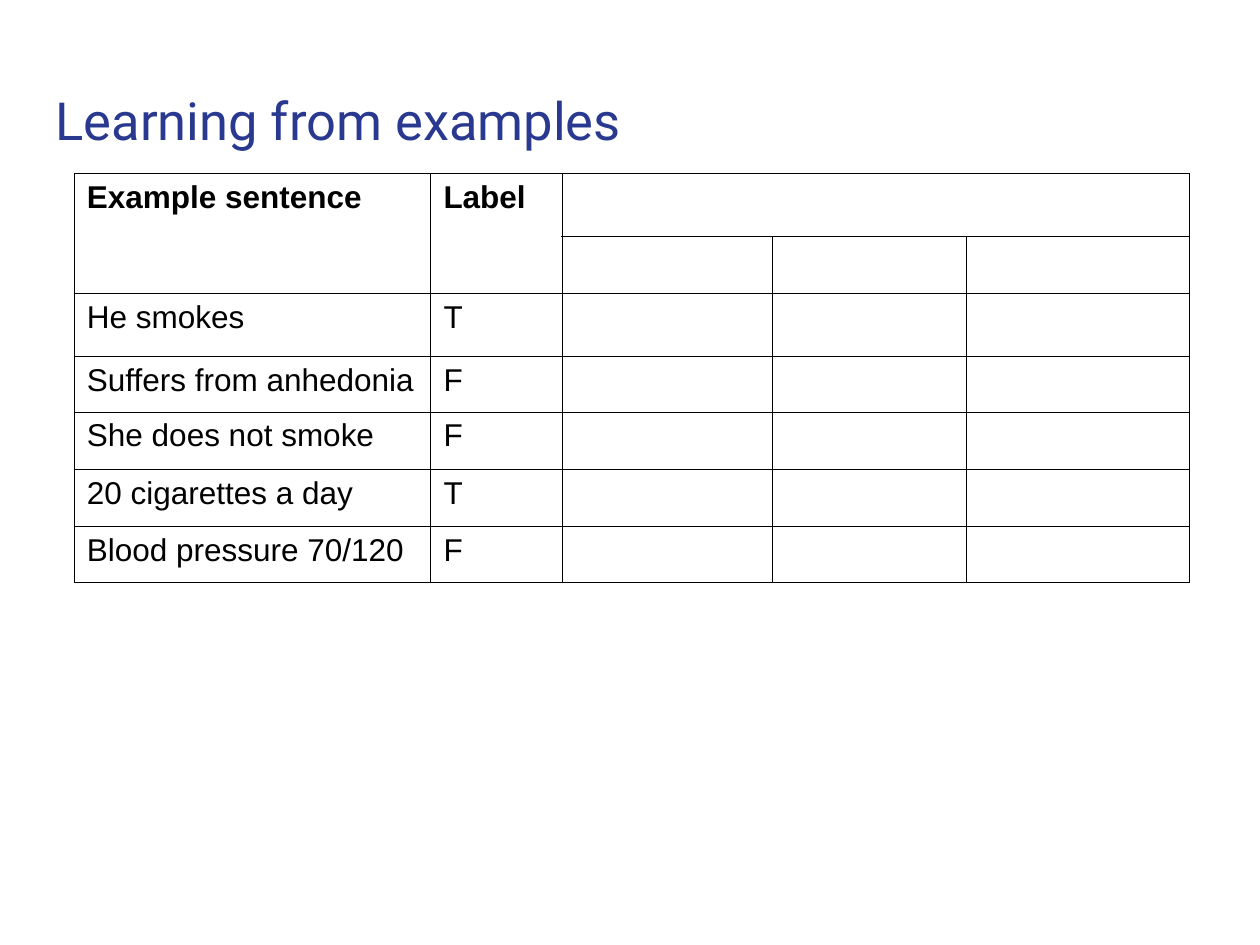
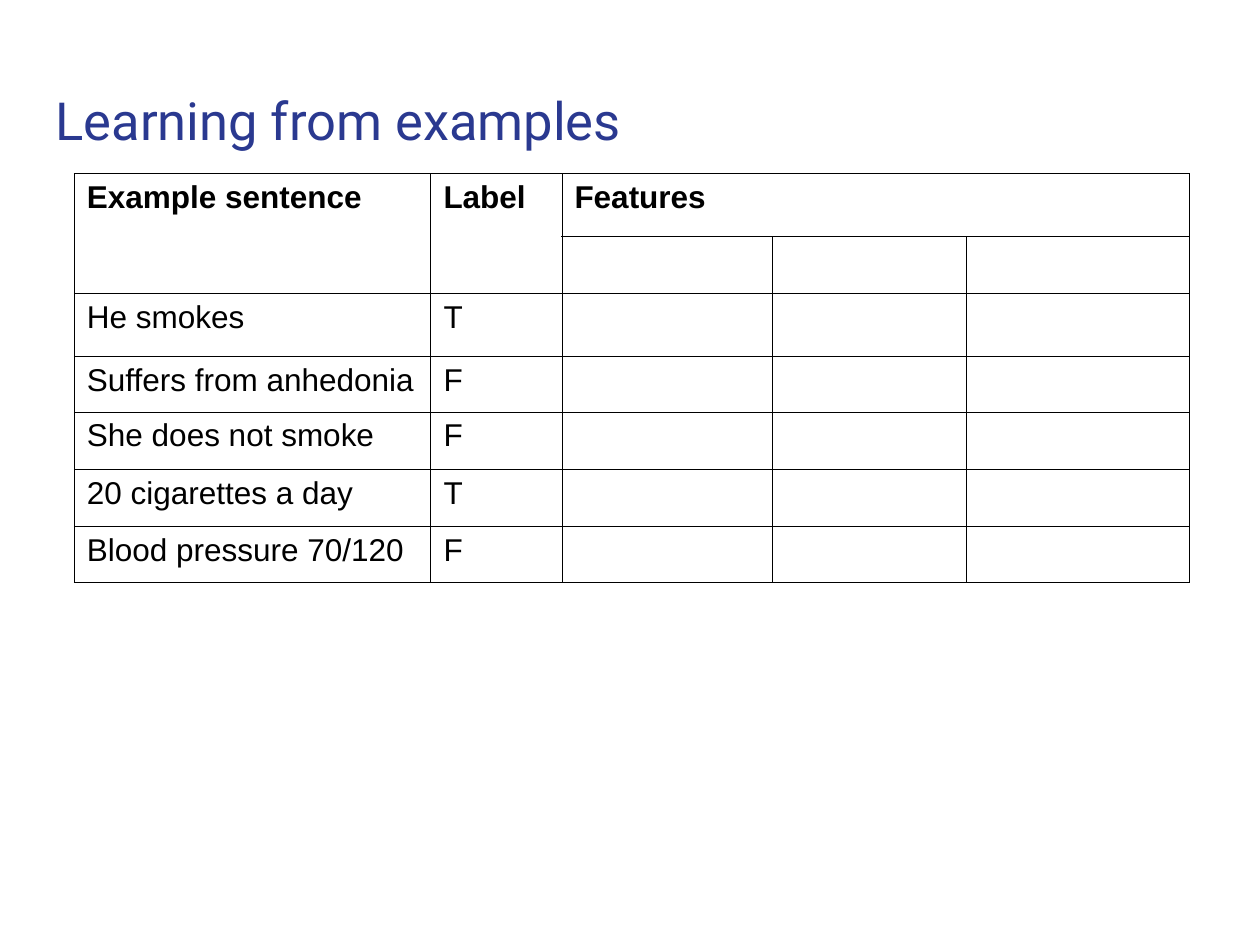
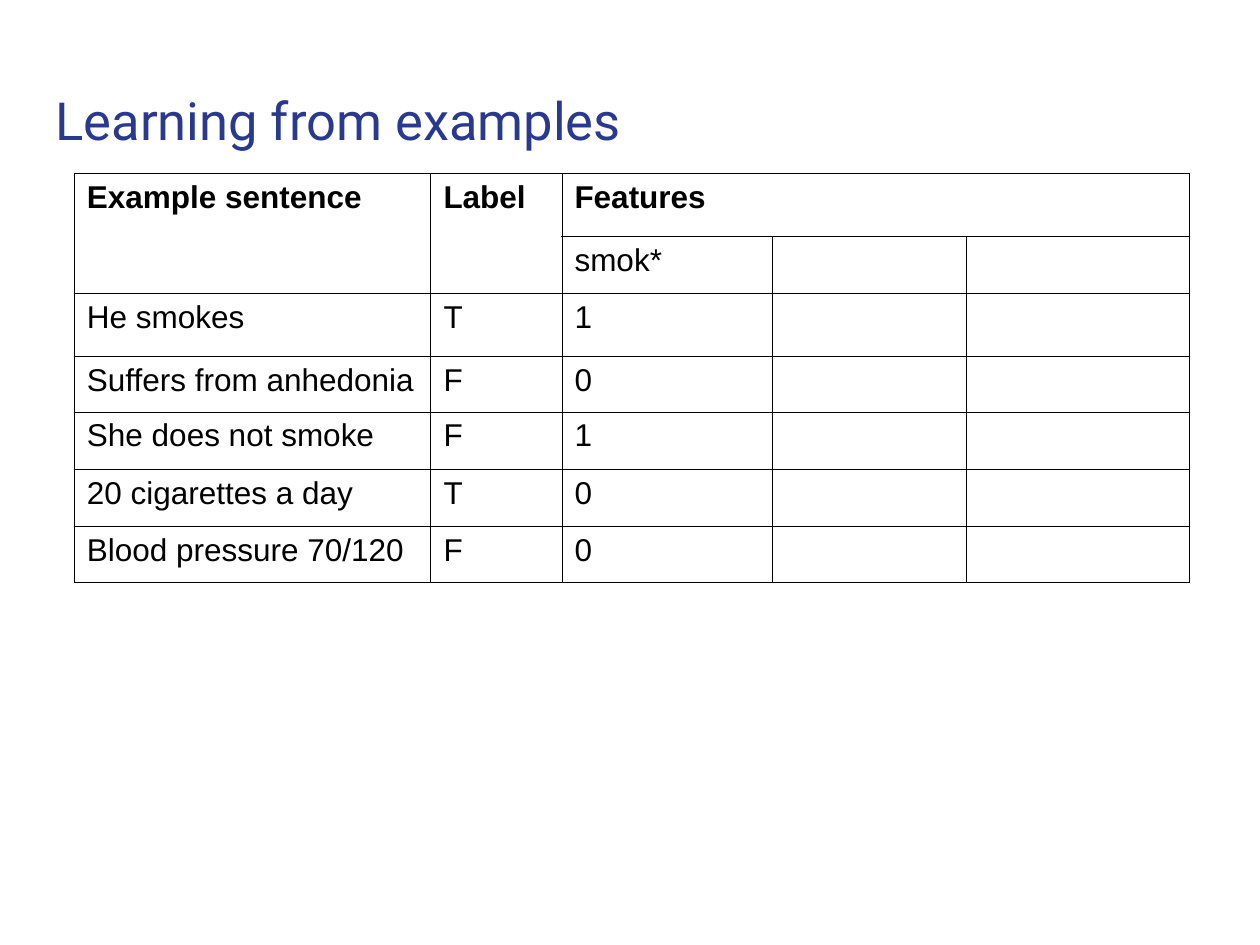
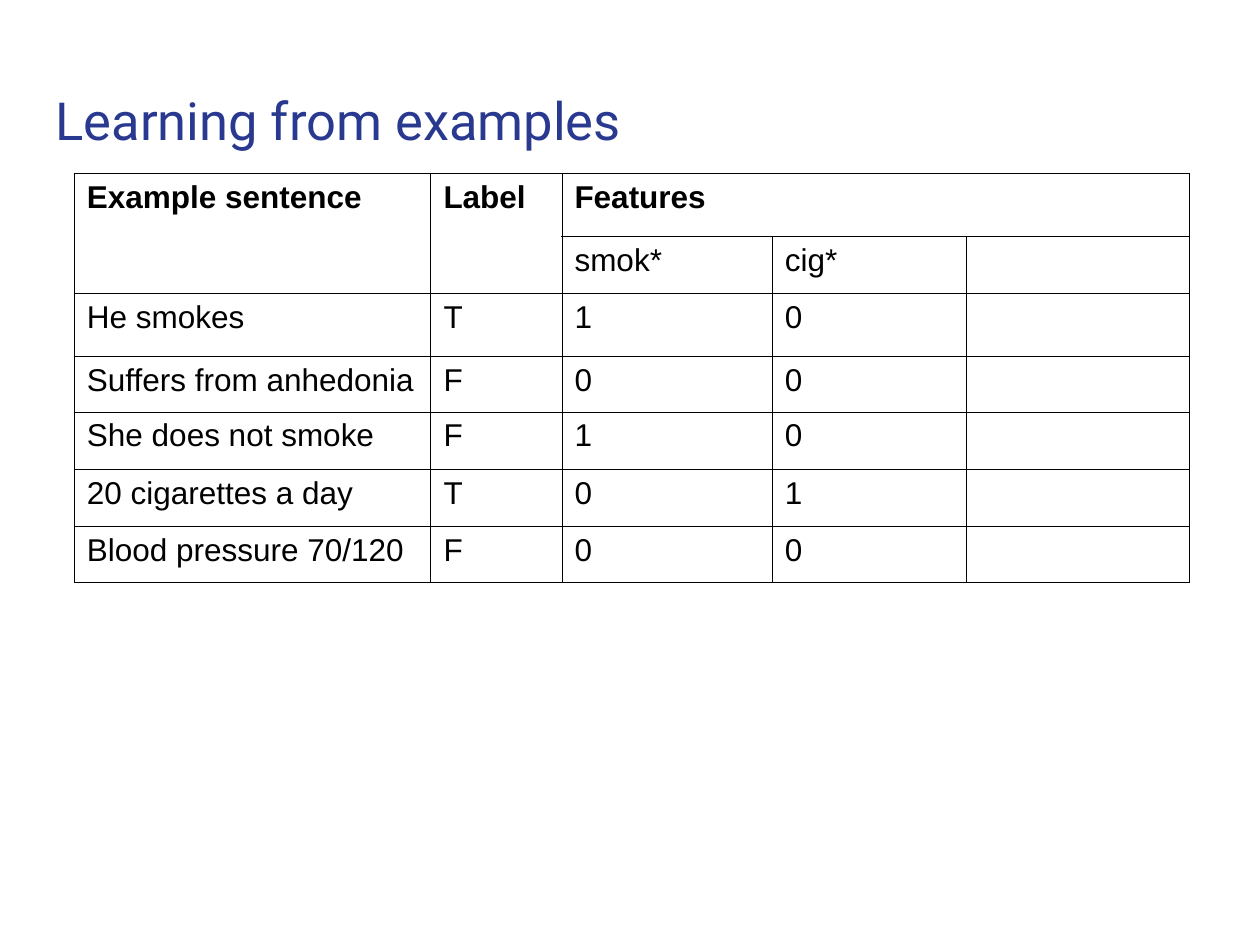
from dataclasses import dataclass

from lxml.etree import SubElement
from pptx import Presentation
from pptx.dml.color import RGBColor
from pptx.enum.text import MSO_ANCHOR, PP_ALIGN
from pptx.oxml.ns import qn
from pptx.util import Inches, Pt

# Shared look
TITLE = "Learning from examples"
TITLE_COLOUR = "2A3990"
INK = "000000"
TITLE_FONT = "Roboto"
BODY_FONT = "Arial"
BORDER_WIDTH = Pt(0.57)

# Table grid, in inches
TABLE_LEFT, TABLE_TOP = 0.59, 1.38
COLUMN_WIDTHS = (2.83, 1.04, 1.67, 1.54, 1.77)
ROW_HEIGHTS = (0.5, 0.45, 0.5, 0.44, 0.46, 0.45, 0.44)
HEADER_ROWS = 2
FIRST_FEATURE_COLUMN = 2


@dataclass(frozen=True)
class Example:
    sentence: str
    label: str


@dataclass(frozen=True)
class Feature:
    pattern: str
    values: tuple[int, ...]


@dataclass(frozen=True)
class Stage:
    """What one slide reveals of the feature columns."""
    heading: str
    features: tuple[Feature, ...] = ()


EXAMPLES = (
    Example("He smokes", "T"),
    Example("Suffers from anhedonia", "F"),
    Example("She does not smoke", "F"),
    Example("20 cigarettes a day", "T"),
    Example("Blood pressure 70/120", "F"),
)
SMOKE = Feature("smok*", (1, 0, 1, 0, 0))
CIGARETTE = Feature("cig*", (0, 0, 0, 1, 0))
STAGES = (
    Stage(""),
    Stage("Features"),
    Stage("Features", (SMOKE,)),
    Stage("Features", (SMOKE, CIGARETTE)),
)


def colour(code: str) -> RGBColor:
    return RGBColor.from_string(code)


def style_font(font, name: str, size: float, code: str, bold: bool = False) -> None:
    font.name = name
    font.size = Pt(size)
    font.bold = bold
    font.color.rgb = colour(code)


def add_title(page) -> None:
    title = page.shapes.title
    title.left, title.top = Inches(0.34), Inches(0.6)
    title.width, title.height = Inches(9.32), Inches(0.89)
    frame = title.text_frame
    frame.text = TITLE
    frame.word_wrap = True
    frame.vertical_anchor = MSO_ANCHOR.TOP
    frame.margin_left = frame.margin_right = Inches(0.1)
    frame.margin_top = frame.margin_bottom = Inches(0.1)
    para = frame.paragraphs[0]
    para.alignment = PP_ALIGN.LEFT
    style_font(para.runs[0].font, TITLE_FONT, 30, TITLE_COLOUR)


def add_borders(cell) -> None:
    properties = cell._tc.get_or_add_tcPr()
    for side in ("lnL", "lnR", "lnT", "lnB"):
        line = SubElement(properties, qn(f"a:{side}"), w=str(BORDER_WIDTH))
        fill = SubElement(line, qn("a:solidFill"))
        SubElement(fill, qn("a:srgbClr"), val=INK)


def write_cell(cell, text: str, bold: bool) -> None:
    cell.text = text
    para = cell.text_frame.paragraphs[0]
    style_font(para.font, BODY_FONT, 18, INK, bold)
    for span in para.runs:
        style_font(span.font, BODY_FONT, 18, INK, bold)


def cell_texts(stage: Stage) -> dict[tuple[int, int], str]:
    """Map each filled (row, column) to its text."""
    texts = {(0, 0): "Example sentence", (0, 1): "Label",
             (0, FIRST_FEATURE_COLUMN): stage.heading}
    for row, example in enumerate(EXAMPLES, HEADER_ROWS):
        texts[row, 0] = example.sentence
        texts[row, 1] = example.label
    for column, feature in enumerate(stage.features, FIRST_FEATURE_COLUMN):
        texts[1, column] = feature.pattern
        for row, value in enumerate(feature.values, HEADER_ROWS):
            texts[row, column] = str(value)
    return texts


def add_example_table(page, stage: Stage) -> None:
    table = page.shapes.add_table(
        len(ROW_HEIGHTS), len(COLUMN_WIDTHS),
        Inches(TABLE_LEFT), Inches(TABLE_TOP),
        Inches(sum(COLUMN_WIDTHS)), Inches(sum(ROW_HEIGHTS))).table
    table.first_row = table.horz_banding = False
    for column, width in zip(table.columns, COLUMN_WIDTHS):
        column.width = Inches(width)
    for row, height in zip(table.rows, ROW_HEIGHTS):
        row.height = Inches(height)

    # Cell contents, borders and clear fill
    texts = cell_texts(stage)
    for row in range(len(ROW_HEIGHTS)):
        for column in range(len(COLUMN_WIDTHS)):
            cell = table.cell(row, column)
            write_cell(cell, texts.get((row, column), ""), bold=row == 0)
            add_borders(cell)
            cell.fill.background()

    # Header spans
    for column in range(FIRST_FEATURE_COLUMN):
        table.cell(0, column).merge(table.cell(HEADER_ROWS - 1, column))
    table.cell(0, FIRST_FEATURE_COLUMN).merge(table.cell(0, len(COLUMN_WIDTHS) - 1))


def main() -> None:
    deck = Presentation()
    deck.slide_width, deck.slide_height = Inches(10), Inches(7.5)
    title_only = deck.slide_layouts.get_by_name("Title Only")
    for stage in STAGES:
        page = deck.slides.add_slide(title_only)
        add_title(page)
        add_example_table(page, stage)
    deck.save("out.pptx")


if __name__ == "__main__":
    main()
